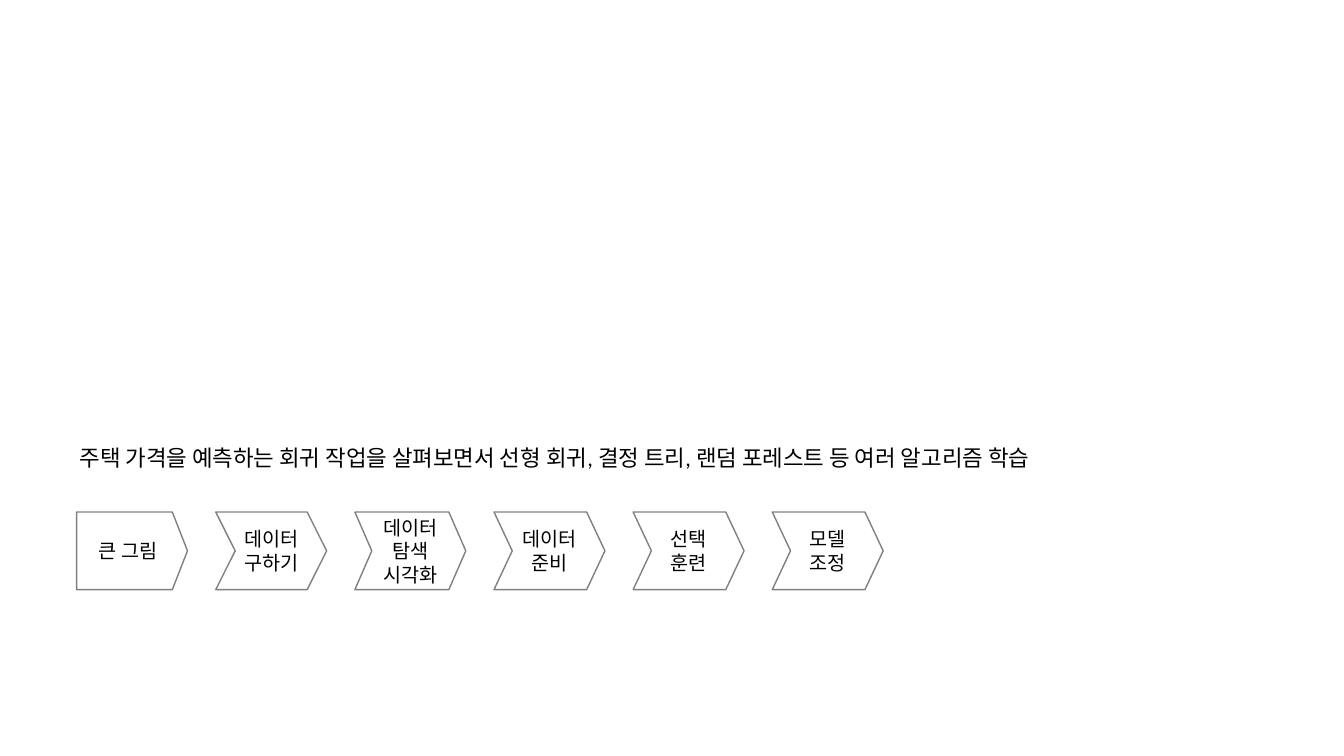
from pptx import Presentation
from pptx import util as u
from pptx.dml.color import RGBColor
from pptx.enum import shapes, text

SUMMARY = "주택 가격을 예측하는 회귀 작업을 살펴보면서 선형 회귀, 결정 트리, 랜덤 포레스트 등 여러 알고리즘 학습"
# Label and depth of the point; \v breaks a line, \n starts a paragraph
STEPS = [
    ("큰 그림", 0.195),
    ("데이터\v구하기", 0.251),
    ("데이터 탐색\v시각화", 0.218),
    ("데이터\v준비", 0.235),
    ("선택\n훈련", 0.235),
    ("모델\n조정", 0.235),
]
FONT, BLACK, GRAY, WHITE = "Calibri", "000000", "808080", "FFFFFF"
LEFT, TOP, WIDTH, HEIGHT, PITCH = 0.76, 5.08, 1.1, 0.77, 1.38


def color(value):
    return RGBColor.from_string(value)


def set_text(frame, content, size, align):
    frame.word_wrap = True
    frame.text = content
    for para in frame.paragraphs:
        para.alignment = align
        for span in para.runs:
            span.font.name = FONT
            span.font.size = u.Pt(size)
            span.font.color.rgb = color(BLACK)


def add_step(page, index, label, depth):
    first = index == 0
    kind = shapes.MSO_SHAPE.PENTAGON if first else shapes.MSO_SHAPE.CHEVRON
    step = page.shapes.add_shape(
        kind, u.Inches(LEFT + index * PITCH), u.Inches(TOP),
        u.Inches(WIDTH), u.Inches(HEIGHT))
    step.adjustments[0] = depth
    step.shadow.inherit = False
    step.fill.solid()
    step.fill.fore_color.rgb = color(WHITE)
    step.line.color.rgb = color(GRAY)
    step.line.width = u.Pt(1)
    frame = step.text_frame
    frame.vertical_anchor = text.MSO_ANCHOR.MIDDLE
    if not first:
        frame.margin_left = frame.margin_right = 0
    set_text(frame, label, 14, text.PP_ALIGN.CENTER)


def main():
    deck = Presentation()
    deck.slide_width, deck.slide_height = u.Inches(13.33), u.Inches(7.5)
    page = deck.slides.add_slide(deck.slide_layouts[6])

    # Summary sentence
    box = page.shapes.add_textbox(
        u.Inches(0.69), u.Inches(4.36), u.Inches(11.29), u.Inches(0.37))
    set_text(box.text_frame, SUMMARY, 16, text.PP_ALIGN.LEFT)
    box.text_frame.auto_size = text.MSO_AUTO_SIZE.SHAPE_TO_FIT_TEXT

    # Row of project steps
    for index, (label, depth) in enumerate(STEPS):
        add_step(page, index, label, depth)

    deck.save("out.pptx")


if __name__ == "__main__":
    main()
